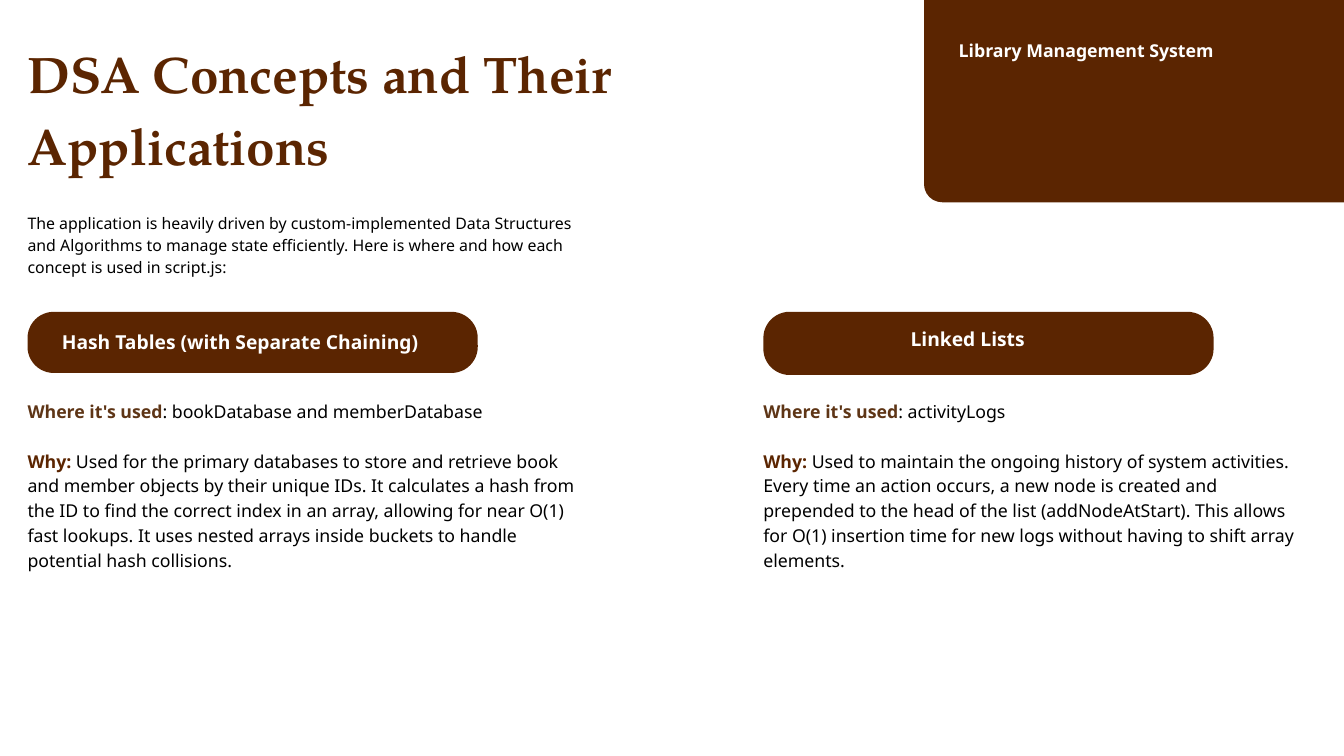
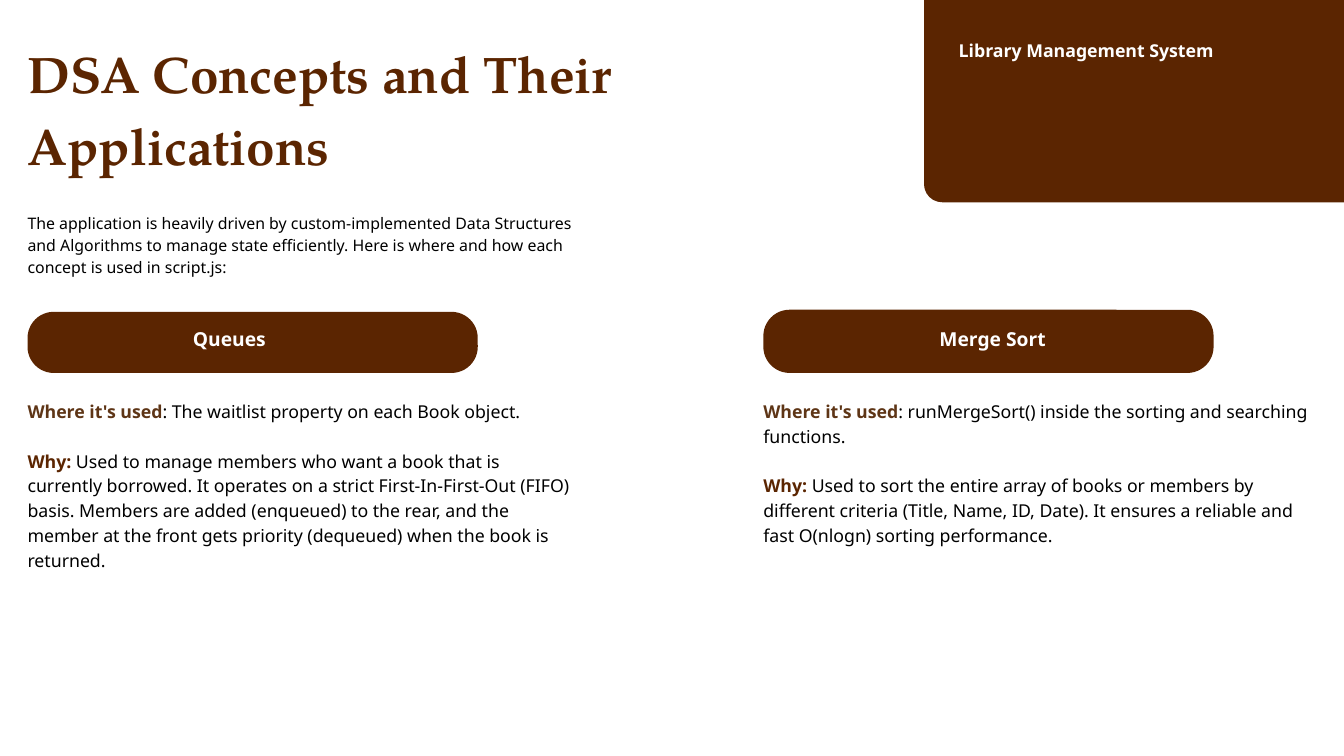
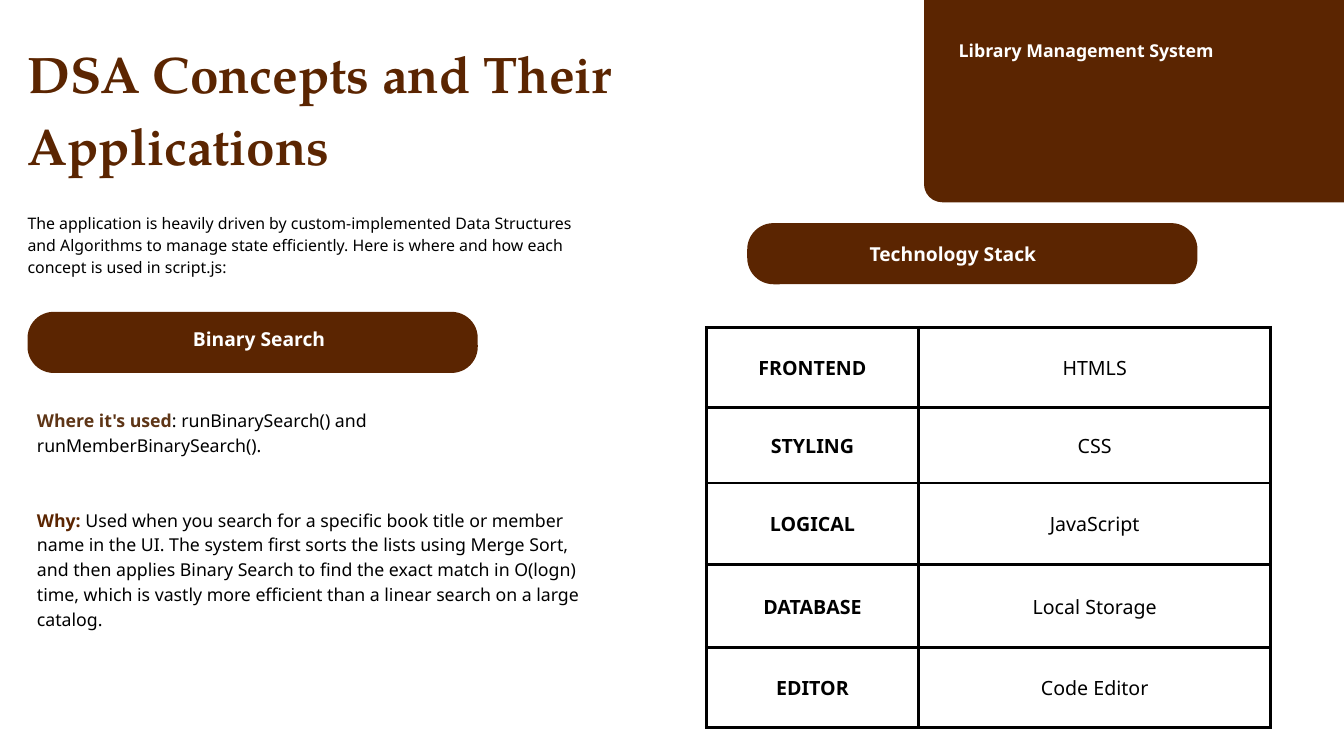
from dataclasses import dataclass

from lxml import etree
from pptx import Presentation
from pptx import util as u
from pptx.dml import color
from pptx.enum import shapes, text
from pptx.oxml import ns

# Slide grid: 20 columns by 11.25 rows
COLUMNS, ROWS = 20, 11.25
WIDTH, HEIGHT = u.Inches(20), u.Inches(11.25)

BROWN, TAN, WHITE, BLACK = "5B2501", "5E3516", "FFFFFF", "000000"
SANS, SERIF = "Noto Sans", "TeX Gyre Pagella"

# Size, font, weight and line spacing of each kind of text
HEADER = dict(size=19, name=SANS, bold=True, color=WHITE, leading=26.6)
TITLE = dict(size=55, name=SERIF, bold=True, color=BROWN, leading=77)
INTRO = dict(size=17, name=SANS, bold=False, color=BLACK, leading=23.8)
LABEL = dict(size=20.6, name=SANS, bold=True, color=WHITE, leading=28.8)
BODY = dict(size=19, name=SANS, bold=False, color=BLACK, leading=26.6)
CELL = dict(size=21, name=SANS, bold=False, color=BLACK, leading=29.4)


@dataclass
class Box:
    left: float
    top: float
    width: float
    height: float

    def inner(self, left, top, width, height):
        """Box placed relative to this one, in columns and rows."""
        return Box(self.left + left, self.top + top, width, height)

    def emu(self):
        return (int(self.left * WIDTH / COLUMNS), int(self.top * HEIGHT / ROWS),
                int(self.width * WIDTH / COLUMNS), int(self.height * HEIGHT / ROWS))


PAGE = Box(0, 0, COLUMNS, ROWS)
LEFT_COLUMN = Box(0.41, 4.64, 8.16, 6)
RIGHT_COLUMN = Box(11.36, 4.64, 8.16, 6)
STACK_REGION = Box(10.51, 3.32, 8.4, 7.52)


def rgb(value):
    return color.RGBColor.from_string(value)


def set_all(target, values):
    for name, value in values.items():
        setattr(target, name, value)


def write(para, spans, style, align=text.PP_ALIGN.LEFT, before=0):
    """Fill a paragraph from (text, style changes) pairs."""
    set_all(para, dict(alignment=align, line_spacing=u.Pt(style["leading"]),
                       space_before=u.Pt(before), space_after=u.Pt(0)))
    for words, changes in spans:
        look = {**style, **changes}
        span = para.add_run()
        span.text = words
        set_all(span.font, dict(size=u.Pt(look["size"]), name=look["name"], bold=look["bold"]))
        span.font.color.rgb = rgb(look["color"])


def prepare(shape, box):
    """Place a text holder and clear its insets."""
    set_all(shape, dict(zip(("left", "top", "width", "height"), box.emu())))
    frame = shape.text_frame
    set_all(frame, dict(margin_left=0, margin_top=0, margin_right=0, margin_bottom=0,
                        word_wrap=True, auto_size=text.MSO_AUTO_SIZE.NONE,
                        vertical_anchor=text.MSO_ANCHOR.TOP))
    return frame


def add_text(page, box, words, style, align=text.PP_ALIGN.LEFT):
    frame = prepare(page.shapes.add_textbox(*box.emu()), box)
    write(frame.paragraphs[0], [(words, {})], style, align)


def add_solid(page, kind, box, corner):
    shape = page.shapes.add_shape(kind, *box.emu())
    shape.shadow.inherit = False
    shape.fill.solid()
    shape.fill.fore_color.rgb = rgb(BROWN)
    shape.line.fill.background()
    shape.adjustments[0] = corner / min(box.width, box.height)
    return shape


def add_frame(page, box):
    """Corner band, header, title and introduction shared by all slides."""
    band = box.inner(13.75, 0, 6.25, 3.01)
    add_solid(page, shapes.MSO_SHAPE.ROUND_1_RECTANGLE, band, 0.27).rotation = 180
    add_text(page, band.inner(0.48, 0.54, 3.83, 0.36), "Library Management System",
             HEADER, text.PP_ALIGN.RIGHT)
    title = prepare(page.shapes.title, box.inner(0.41, 0.48, 11.06, 3.15))
    write(title.paragraphs[0], [("DSA Concepts and Their Applications", {})], TITLE)
    add_text(page, box.inner(0.41, 3.13, 8.3, 0.96),
             "The application is heavily driven by custom-implemented Data Structures and "
             "Algorithms to manage state efficiently. Here is where and how each concept is "
             "used in script.js:", INTRO)


def add_pill(page, box, words, label):
    """Rounded heading; label is the left, top and width of its words."""
    add_solid(page, shapes.MSO_SHAPE.ROUNDED_RECTANGLE, box, 0.39)
    add_text(page, box.inner(*label, 0.39), words, LABEL)


def add_concept(page, box, holder, concept):
    """Heading pill above the where and why of one concept."""
    rise, height = concept.get("pill", (0, 0.91))
    add_pill(page, box.inner(0, -rise, 6.7, height), concept["name"], concept["label"])
    shift = concept.get("shift", 0)
    frame = prepare(holder, box.inner(shift, 1.27 + shift, box.width, concept["height"]))
    rows = [("Where it's used", TAN, ": " + concept["where"], 0),
            ("Why:", BROWN, " " + concept["why"], concept.get("gap", 1) * BODY["leading"])]
    for index, (lead, tint, words, before) in enumerate(rows):
        para = frame.add_paragraph() if index else frame.paragraphs[0]
        props = para._p.get_or_add_pPr()
        props.set("marL", "0")
        props.set("indent", "0")
        etree.SubElement(props, ns.qn("a:buNone"))
        write(para, [(lead, dict(bold=True, color=tint)), (words, {})], BODY, before=before)


def add_borders(cell, points):
    props = cell._tc.get_or_add_tcPr()
    for side in ("lnL", "lnR", "lnT", "lnB"):
        line = etree.SubElement(props, ns.qn("a:" + side), w=str(u.Pt(points)))
        fill = etree.SubElement(line, ns.qn("a:solidFill"))
        etree.SubElement(fill, ns.qn("a:srgbClr"), val=BLACK)


def add_stack(page, box, rows):
    """Technology stack heading and its table."""
    add_pill(page, box.inner(0.61, 0, 6.7, 0.91), "Technology Stack", (1.82, 0.23, 2.56))
    area = box.inner(0, 1.55, box.width, 5.96)
    table = page.shapes.add_table(len(rows), 2, *area.emu()).table
    set_all(table, dict(first_row=False, horz_banding=False))
    for column, width in zip(table.columns, (3.16, 5.24)):
        column.width = int(width * WIDTH / COLUMNS)
    for row, (height, *words) in zip(table.rows, rows):
        row.height = int(height * HEIGHT / ROWS)
        for index, (cell, word) in enumerate(zip(row.cells, words)):
            add_borders(cell, 3.19)
            cell.fill.background()
            inset = u.Inches(0.22)
            set_all(cell, dict(margin_left=inset, margin_right=inset, margin_top=inset,
                               margin_bottom=inset, vertical_anchor=text.MSO_ANCHOR.MIDDLE))
            write(cell.text_frame.paragraphs[0], [(word, dict(bold=index == 0))], CELL,
                  text.PP_ALIGN.CENTER)


HASH_TABLES = dict(
    name="Hash Tables (with Separate Chaining)", label=(0.51, 0.22, 5.51), height=3.24,
    where="bookDatabase and memberDatabase",
    why="Used for the primary databases to store and retrieve book and member objects by their "
        "unique IDs. It calculates a hash from the ID to find the correct index in an array, "
        "allowing for near O(1) fast lookups. It uses nested arrays inside buckets to handle "
        "potential hash collisions.")
LINKED_LISTS = dict(
    name="Linked Lists", label=(2.19, 0.18, 2.32), height=3.24, pill=(0, 0.94),
    where="activityLogs",
    why="Used to maintain the ongoing history of system activities. Every time an action occurs, "
        "a new node is created and prepended to the head of the list (addNodeAtStart). This "
        "allows for O(1) insertion time for new logs without having to shift array elements.")
QUEUES = dict(
    name="Queues", label=(2.46, 0.18, 2.56), height=3.61,
    where="The waitlist property on each Book object.",
    why="Used to manage members who want a book that is currently borrowed. It operates on a "
        "strict First-In-First-Out (FIFO) basis. Members are added (enqueued) to the rear, and "
        "the member at the front gets priority (dequeued) when the book is returned.")
MERGE_SORT = dict(
    name="Merge Sort", label=(2.62, 0.21, 2.92), height=2.88, pill=(0.03, 0.94),
    where="runMergeSort() inside the sorting and searching functions.",
    why="Used to sort the entire array of books or members by different criteria (Title, Name, "
        "ID, Date). It ensures a reliable and fast O(nlogn) sorting performance.")
BINARY_SEARCH = dict(
    name="Binary Search", label=(2.46, 0.18, 2.56), height=4.34, shift=0.14, gap=2,
    where="runBinarySearch() and runMemberBinarySearch().",
    why="Used when you search for a specific book title or member name in the UI. The system "
        "first sorts the lists using Merge Sort, and then applies Binary Search to find the "
        "exact match in O(logn) time, which is vastly more efficient than a linear search on a "
        "large catalog.")
# Row height, layer, technology
STACK = [(1.19, "FRONTEND", "HTMLS"), (1.13, "STYLING", "CSS"), (1.21, "LOGICAL", "JavaScript"),
         (1.24, "DATABASE", "Local Storage"), (1.19, "EDITOR", "Code Editor")]


def add_concept_slide(deck, *concepts):
    """Slide with one or two concepts, one body placeholder for each."""
    layout = "Two Content" if len(concepts) == 2 else "Title and Content"
    page = deck.slides.add_slide(deck.slide_layouts.get_by_name(layout))
    add_frame(page, PAGE)
    for index, (box, concept) in enumerate(zip((LEFT_COLUMN, RIGHT_COLUMN), concepts), 1):
        add_concept(page, box, page.placeholders[index], concept)
        # Body text lies above its pill
        page.shapes._spTree.append(page.placeholders[index]._element)
    return page


def main():
    deck = Presentation()
    set_all(deck, dict(slide_width=WIDTH, slide_height=HEIGHT))
    add_concept_slide(deck, HASH_TABLES, LINKED_LISTS)
    add_concept_slide(deck, QUEUES, MERGE_SORT)
    add_stack(add_concept_slide(deck, BINARY_SEARCH), STACK_REGION, STACK)
    deck.save("out.pptx")


if __name__ == "__main__":
    main()
